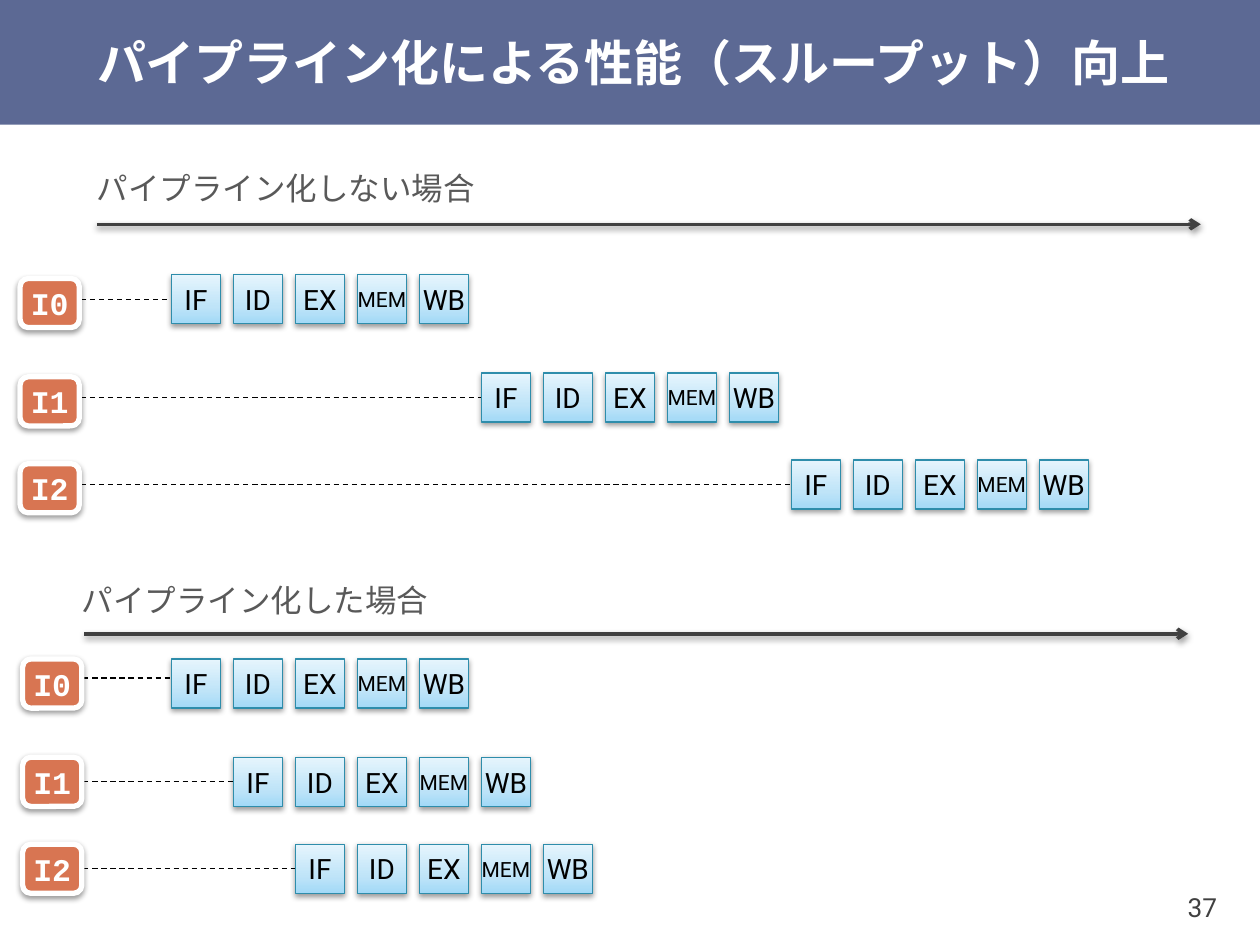
import copy

import lxml.etree
import pptx
import pptx.dml.color
import pptx.enum.dml
import pptx.enum.shapes
import pptx.enum.text
import pptx.oxml
import pptx.oxml.ns
import pptx.util

Inches = pptx.util.Inches
Pt = pptx.util.Pt
RGBColor = pptx.dml.color.RGBColor
MSO_SHAPE = pptx.enum.shapes.MSO_SHAPE
PP_ALIGN = pptx.enum.text.PP_ALIGN
MSO_ANCHOR = pptx.enum.text.MSO_ANCHOR
MSO_AUTO_SIZE = pptx.enum.text.MSO_AUTO_SIZE
qn = pptx.oxml.ns.qn

BAND = RGBColor(0x5C, 0x69, 0x94)
WHITE = RGBColor(0xFF, 0xFF, 0xFF)
BLACK = RGBColor(0, 0, 0)
DARK_GRAY = RGBColor(0x40, 0x40, 0x40)
LABEL_GRAY = RGBColor(0x59, 0x59, 0x59)
BADGE_ORANGE = RGBColor(0xD8, 0x75, 0x52)
STAGE_LINE = RGBColor(0x2E, 0x8D, 0xAB)
STAGE_STOPS = (
    (0, RGBColor(0xA2, 0xD9, 0xF7)),
    (0.35, RGBColor(0xBF, 0xE4, 0xF8)),
    (1, RGBColor(0xE6, 0xF5, 0xFD)),
)

STAGES = (("IF", 16), ("ID", 16), ("EX", 16), ("MEM", 12), ("WB", 16))
STAGE_LEFT = Inches(1.36)
STAGE_SIZE = Inches(0.39)
STAGE_PITCH = Inches(4.92) // 10

SHADOW = (
    '<a:outerShdw xmlns:a="http://schemas.openxmlformats.org/drawingml/2006/main" '
    'blurRad="40000" dist="20000" dir="5400000" rotWithShape="0">'
    '<a:srgbClr val="000000"><a:alpha val="38000"/></a:srgbClr></a:outerShdw>'
)


def write_text(shape, text, size, color, font="Roboto", bold=False, align=PP_ALIGN.LEFT,
               anchor=MSO_ANCHOR.TOP, wrap=False, insets=(0.1, 0.05),
               auto_size=MSO_AUTO_SIZE.NONE):
    frame = shape.text_frame
    frame.word_wrap = wrap
    frame.auto_size = auto_size
    frame.vertical_anchor = anchor
    frame.margin_left = frame.margin_right = Inches(insets[0])
    frame.margin_top = frame.margin_bottom = Inches(insets[1])
    paragraph = frame.paragraphs[0]
    paragraph.alignment = align
    run = paragraph.add_run()
    run.text = text
    run.font.name = font
    run.font.size = Pt(size)
    run.font.bold = bold
    run.font.color.rgb = color


def set_shadow(shape, visible):
    effects = lxml.etree.SubElement(shape.element.spPr, qn("a:effectLst"))
    if visible:
        effects.append(pptx.oxml.parse_xml(SHADOW))


def add_title(slide, text):
    band = slide.shapes.add_shape(MSO_SHAPE.RECTANGLE, 0, 0, Inches(10), Inches(0.99))
    band.fill.solid()
    band.fill.fore_color.rgb = BAND
    band.line.fill.background()
    band.shadow.inherit = False
    title = slide.shapes.title
    title.element.addprevious(band.element)
    title.left, title.top = Inches(0.67), 0
    title.width, title.height = Inches(9.33), Inches(0.99)
    write_text(title, text, 28, WHITE, bold=True, anchor=MSO_ANCHOR.MIDDLE,
               wrap=True, insets=(0.1, 0))


def add_line(slide, left, top, right, color, width):
    line = slide.shapes.add_connector(
        pptx.enum.shapes.MSO_CONNECTOR.STRAIGHT, left, top, right, top)
    line.line.color.rgb = color
    line.line.width = Pt(width)
    return line


def add_time_arrow(slide, left, top):
    arrow = add_line(slide, left, top, left + Inches(8.76), DARK_GRAY, 2)
    outline = arrow.element.spPr.find(qn("a:ln"))
    lxml.etree.SubElement(outline, qn("a:tailEnd"), type="arrow")
    set_shadow(arrow, True)


def add_label(slide, left, top, width, text):
    label = slide.shapes.add_textbox(left, top, width, Inches(0.4))
    write_text(label, text, 18, LABEL_GRAY, auto_size=MSO_AUTO_SIZE.SHAPE_TO_FIT_TEXT)


def add_badge(slide, left, top, text):
    badge = slide.shapes.add_shape(
        MSO_SHAPE.ROUNDED_RECTANGLE, left, top, Inches(0.47), Inches(0.39))
    badge.fill.solid()
    badge.fill.fore_color.rgb = BADGE_ORANGE
    badge.line.color.rgb = WHITE
    badge.line.width = Pt(3)
    set_shadow(badge, True)
    write_text(badge, text, 18, WHITE, font="Courier New", bold=True,
               align=PP_ALIGN.CENTER, anchor=MSO_ANCHOR.MIDDLE)


def fill_stage(stage):
    stage.fill.gradient()
    stage.fill.gradient_angle = 90
    first_stop = stage.element.spPr.find(".//" + qn("a:gs"))
    first_stop.addnext(copy.deepcopy(first_stop))
    for stop, (position, color) in zip(stage.fill.gradient_stops, STAGE_STOPS):
        stop.position = position
        stop.color.rgb = color


def add_stages(slide, left, top):
    group = slide.shapes.add_group_shape()
    for index, (name, size) in enumerate(STAGES):
        stage = group.shapes.add_shape(
            MSO_SHAPE.RECTANGLE, left + index * STAGE_PITCH, top, STAGE_SIZE, STAGE_SIZE)
        fill_stage(stage)
        stage.line.color.rgb = STAGE_LINE
        stage.line.width = Pt(0.75)
        set_shadow(stage, True)
        write_text(stage, name, size, BLACK, align=PP_ALIGN.CENTER, anchor=MSO_ANCHOR.MIDDLE)
    return group.shapes[0]


def add_instruction(slide, name, badge_left, badge_top, stage_top, slot, lead_top):
    stage_left = STAGE_LEFT + slot * STAGE_PITCH
    middle = stage_top + STAGE_SIZE // 2
    lead = add_line(slide, badge_left + Inches(0.41), lead_top or middle,
                    stage_left, BLACK, 0.75)
    lead.line.dash_style = pptx.enum.dml.MSO_LINE.DASH
    set_shadow(lead, False)
    add_badge(slide, badge_left, badge_top, name)
    first_stage = add_stages(slide, stage_left, stage_top)
    if lead_top is None:
        lead.end_connect(first_stage, 1)


def add_timeline(slide, badge_left, first_top, badge_drop, slot_step, first_lead_top=None):
    for index, offset in enumerate((0, 0.78, 1.47)):
        stage_top = first_top + Inches(offset)
        add_instruction(slide, f"I{index}", badge_left, stage_top + badge_drop, stage_top,
                        index * slot_step, first_lead_top if index == 0 else None)


def add_page_number(slide, text):
    box = slide.shapes.add_textbox(Inches(8.94), Inches(6.9), Inches(0.79), Inches(0.6))
    write_text(box, text, 15, DARK_GRAY, align=PP_ALIGN.RIGHT, anchor=MSO_ANCHOR.MIDDLE,
               wrap=True, insets=(0.07, 0.04))


def main():
    presentation = pptx.Presentation()
    presentation.slide_width = Inches(10)
    presentation.slide_height = Inches(7.5)
    slide = presentation.slides.add_slide(presentation.slide_layouts[5])
    add_title(slide, "パイプライン化による性能（スループット）向上")
    add_page_number(slide, "37")

    add_label(slide, Inches(0.67), Inches(1.29), Inches(3.23), "パイプライン化しない場合")
    add_time_arrow(slide, Inches(0.77), Inches(1.78))
    add_timeline(slide, Inches(0.16), Inches(2.18), Inches(0.03), len(STAGES))

    add_label(slide, Inches(0.55), Inches(4.56), Inches(2.98), "パイプライン化した場合")
    add_time_arrow(slide, Inches(0.67), Inches(5.03))
    add_timeline(slide, Inches(0.18), Inches(5.23), 0, 1, first_lead_top=Inches(5.38))

    presentation.save("out.pptx")


if __name__ == "__main__":
    main()
